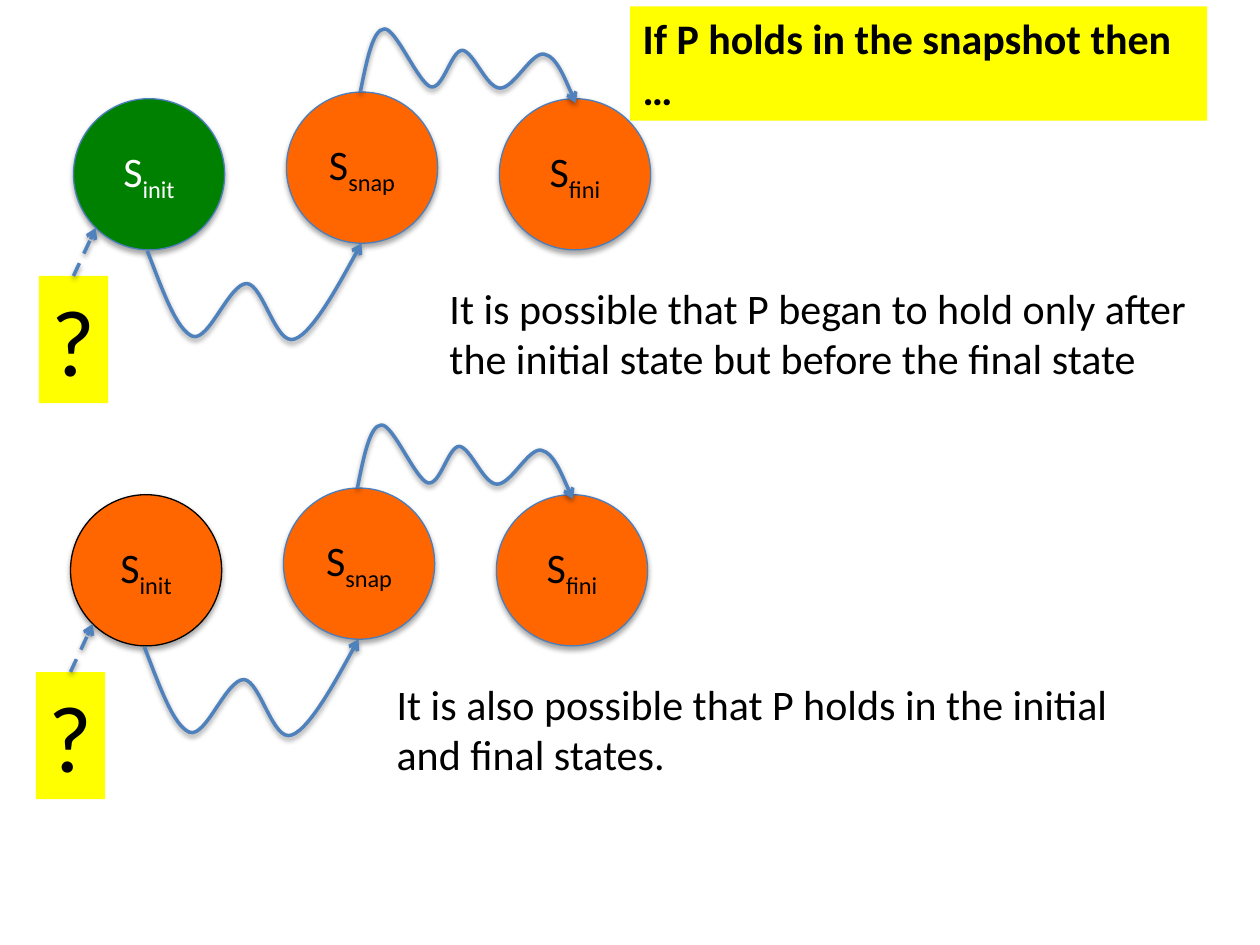
import pptx
import pptx.dml.color
import pptx.enum.dml
import pptx.enum.shapes
import pptx.enum.text
import pptx.oxml
import pptx.oxml.ns
import pptx.util

Pt = pptx.util.Pt
Align = pptx.enum.text.PP_ALIGN
Anchor = pptx.enum.text.MSO_ANCHOR
Preset = pptx.enum.shapes.MSO_SHAPE
qn = pptx.oxml.ns.qn

COLORS = {
    "green": "008000", "orange": "FF6600", "yellow": "FFFF00", "rim": "4B7EBC",
    "arrow": "4F81BD", "black": "000000", "white": "FFFFFF",
}
DIAMETER = 86.4
STATE_STEP = 121.7

# Start point, then groups of three Bezier points, measured from the row origin.
PATH_TO_SNAP = [
    (84.2, 143.3),
    (92.9, 165.6), (100.8, 188.6), (110.2, 192.2),
    (119.5, 195.1), (131, 162), (141.1, 162),
    (150.5, 162.7), (157.7, 198), (168.5, 193.7),
    (179.3, 190.1), (206.6, 139), (206.6, 139),
]
PATH_TO_FINI = [
    (205.9, 52.6),
    (209.5, 34.6), (213.1, 16.6), (219.6, 16.6),
    (226.1, 15.8), (239, 47.5), (246.2, 49.7),
    (253.4, 51.1), (257.8, 28.8), (264.2, 28.8),
    (270.7, 29.5), (277.9, 50.4), (285.8, 50.4),
    (293.8, 50.4), (303.8, 29.5), (311, 31),
    (318.2, 32.4), (329, 59), (329, 59),
]


def rgb(name):
    return pptx.dml.color.RGBColor.from_string(COLORS[name])


def paint(shape, name):
    shape.fill.solid()
    shape.fill.fore_color.rgb = rgb(name)


def place(shape, left, top, width, height):
    shape.left, shape.top = Pt(left), Pt(top)
    shape.width, shape.height = Pt(width), Pt(height)


def write(shape, text, subscript="", size=24, color="black", bold=False,
          align=Align.LEFT, anchor=Anchor.TOP, wrap=True):
    frame = shape.text_frame
    frame.word_wrap = wrap
    frame.auto_size = pptx.enum.text.MSO_AUTO_SIZE.NONE
    frame.vertical_anchor = anchor
    para = frame.paragraphs[0]
    para.alignment = align
    for part, baseline in ((text, None), (subscript, "-25000")):
        if not part:
            continue
        span = para.add_run()
        span.text = part
        span.font.name = "Calibri"
        span.font.size = Pt(size)
        span.font.bold = bold
        span.font.color.rgb = rgb(color)
        if baseline:
            span._r.get_or_add_rPr().set("baseline", baseline)


def add_shadow(shape, distance, opacity):
    """Drop a soft black shadow straight down; opacity is in percent."""
    properties = shape._element.spPr
    for effects in properties.findall(qn("a:effectLst")):
        properties.remove(effects)
    properties.append(pptx.oxml.parse_xml(
        f'<a:effectLst {pptx.oxml.ns.nsdecls("a")}>'
        f'<a:outerShdw blurRad="{Pt(3.1)}" dist="{Pt(distance)}" dir="5400000" rotWithShape="0">'
        f'<a:srgbClr val="{COLORS["black"]}"><a:alpha val="{opacity * 1000}"/></a:srgbClr>'
        '</a:outerShdw></a:effectLst>'))


def style_arrow(shape, dashed=False):
    shape.line.color.rgb = rgb("arrow")
    shape.line.width = Pt(2)
    if dashed:
        shape.line.dash_style = pptx.enum.dml.MSO_LINE.DASH
    line = shape.line._get_or_add_ln()
    line.append(line.makeelement(qn("a:tailEnd"), {"type": "arrow"}))
    add_shadow(shape, 1.6, 38)


def add_state(page, left, top, subscript, fill="orange", rim="rim", color="black"):
    circle = page.shapes.add_shape(
        Preset.OVAL, Pt(left), Pt(top), Pt(DIAMETER), Pt(DIAMETER))
    paint(circle, fill)
    circle.line.color.rgb = rgb(rim)
    circle.line.width = Pt(0.75)
    add_shadow(circle, 1.8, 35)
    write(circle, "S", subscript, color=color, align=Align.CENTER, anchor=Anchor.MIDDLE)


def add_wave(page, points, dx, dy):
    """Draw an arrow along a chain of cubic Bezier curves."""
    start, *rest = [(Pt(x + dx), Pt(y + dy)) for x, y in points]
    builder = page.shapes.build_freeform(*start)
    builder.add_line_segments(rest, close=False)
    wave = builder.convert_to_shape()
    wave.fill.background()
    steps = list(wave._element.iter(qn("a:lnTo")))
    for first in range(0, len(steps), 3):
        curve = steps[first].makeelement(qn("a:cubicBezTo"), {})
        steps[first].addprevious(curve)
        for step in steps[first:first + 3]:
            curve.append(step[0])
            step.getparent().remove(step)
    style_arrow(wave)


def add_question(page, dx, dy):
    box = page.shapes.add_shape(
        Preset.RECTANGLE, Pt(22.2 + dx), Pt(157.7 + dy), Pt(39.6), Pt(72.7))
    paint(box, "yellow")
    box.line.fill.background()
    box.shadow.inherit = False
    write(box, "?", size=54, wrap=False)
    arrow = page.shapes.add_connector(
        pptx.enum.shapes.MSO_CONNECTOR.STRAIGHT,
        Pt(42 + dx), Pt(157.7 + dy), Pt(54.7 + dx), Pt(130.3 + dy))
    arrow.begin_connect(box, 0)
    style_arrow(arrow, dashed=True)


def add_scenario(page, dx, dy, note, note_left, **initial_style):
    """Draw one row: three states, the paths between them and a comment."""
    states = (("init", 56.4, initial_style), ("snap", 52.6, {}), ("fini", 56.4, {}))
    for index, (subscript, top, style) in enumerate(states):
        add_state(page, 42 + dx + index * STATE_STEP, top + dy, subscript, **style)
    add_wave(page, PATH_TO_SNAP, dx, dy)
    add_wave(page, PATH_TO_FINI, dx, dy)
    add_question(page, dx, dy)
    comment = page.shapes.add_textbox(
        Pt(note_left), Pt(157.7 + dy), Pt(451.4), Pt(65.4))
    write(comment, note)


def main():
    deck = pptx.Presentation()
    deck.slide_width, deck.slide_height = Pt(720), Pt(540)
    page = deck.slides.add_slide(deck.slide_layouts[5])
    title = page.shapes.title
    place(title, 360, 3.6, 329.8, 65.4)
    paint(title, "yellow")
    write(title, "If P holds in the snapshot then …", bold=True)
    add_scenario(
        page, 0, 0,
        "It is possible that P began to hold only after the initial state "
        "but before the final state",
        249.8, fill="green", color="white")
    add_scenario(
        page, -1.7, 226.3,
        "It is also possible that P holds in the initial and final states.",
        219.6, rim="black")
    deck.save("out.pptx")


if __name__ == "__main__":
    main()
